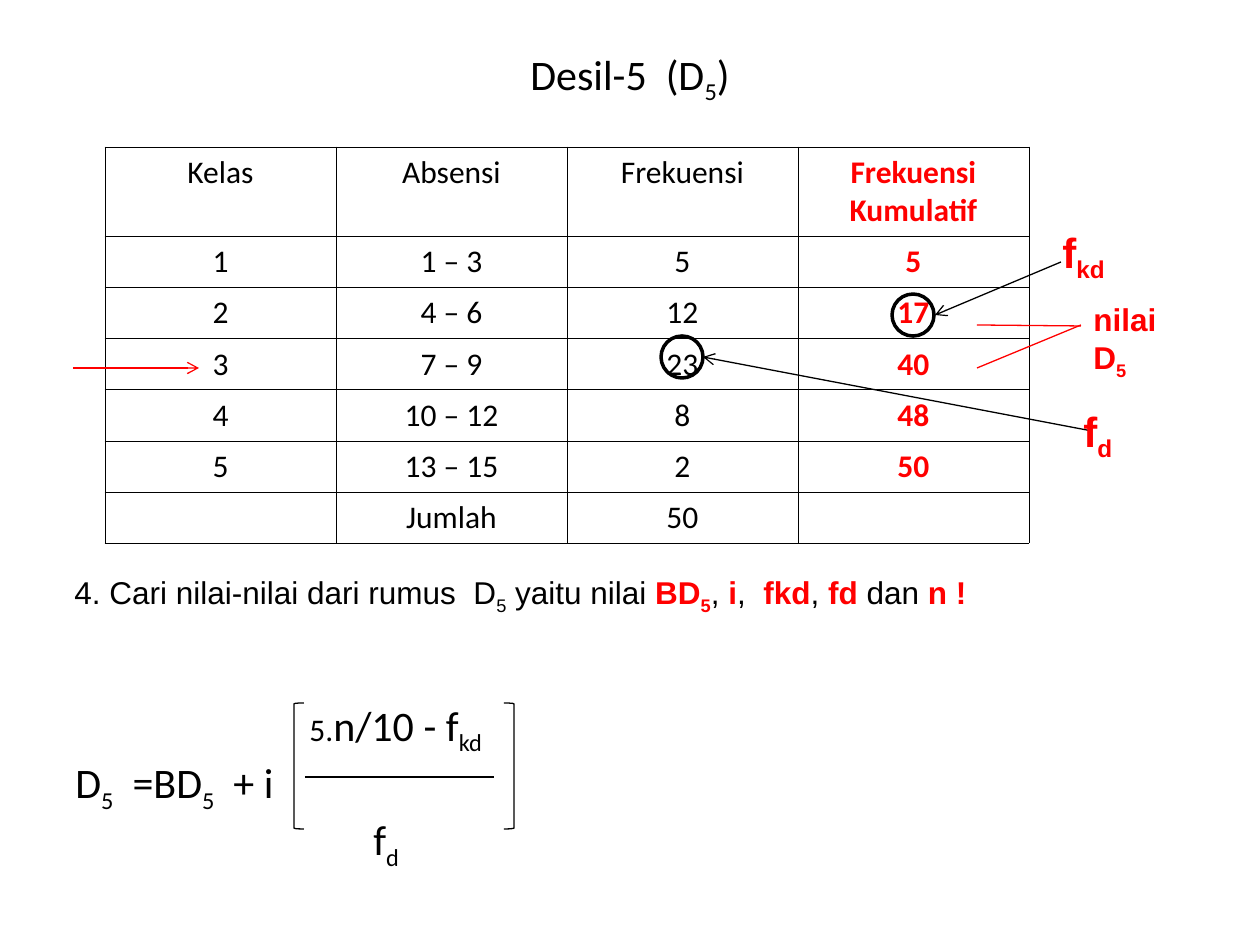
from dataclasses import dataclass

from lxml.etree import SubElement
from pptx import Presentation
from pptx.dml.color import RGBColor
from pptx.enum.shapes import MSO_CONNECTOR as Connector, MSO_SHAPE as Shape
from pptx.enum.text import MSO_ANCHOR as Anchor, MSO_AUTO_SIZE as AutoSize, PP_ALIGN as Align
from pptx.oxml import parse_xml
from pptx.oxml.ns import nsdecls, qn
from pptx.util import Pt

BLACK = RGBColor(0x00, 0x00, 0x00)
RED = RGBColor(0xFF, 0x00, 0x00)
PX = 914400 / 126


def emu(*lengths):
    return [round(length * PX) for length in lengths]


@dataclass
class Run:
    text: str
    sub: bool = False
    hot: bool = False  # bold red
    size: int = 0  # 0 takes the size of the box


@dataclass
class Canvas:
    """Draws on one slide in one style, with lengths in px."""
    slide: object
    thin: float = 0.75
    border: float = 0.45

    def add_runs(self, para, runs, size, font, align=Align.LEFT, indent=0):
        para.alignment = align
        if indent:
            para._p.get_or_add_pPr().set("marL", str(emu(indent)[0]))
        for run in runs:
            span = para.add_run()
            span.text = run.text
            span.font.name = font
            span.font.size = Pt(run.size or size)
            span.font.bold = run.hot
            span.font.color.rgb = RED if run.hot else BLACK
            if run.sub:
                span._r.get_or_add_rPr().set("baseline", "-25000")

    def title(self, left, top, width, height, runs):
        box = self.slide.shapes.title
        box.left, box.top, box.width, box.height = emu(left, top, width, height)
        box.text_frame.vertical_anchor = Anchor.MIDDLE
        self.add_runs(box.text_frame.paragraphs[0], runs, 24, "Calibri", Align.CENTER)

    def text(self, left, top, width, height, lines, size, font="Arial", indents=()):
        frame = self.slide.shapes.add_textbox(*emu(left, top, width, height)).text_frame
        frame.word_wrap = True
        frame.auto_size = AutoSize.SHAPE_TO_FIT_TEXT
        for index, runs in enumerate(lines):
            para = frame.add_paragraph() if index else frame.paragraphs[0]
            indent = indents[index] if indents else 0
            self.add_runs(para, runs, size, font, indent=indent)

    def line(self, x1, y1, x2, y2, color=BLACK, arrow=False):
        line = self.slide.shapes.add_connector(Connector.STRAIGHT, *emu(x1, y1, x2, y2))
        line.line.color.rgb = color
        line.line.width = Pt(self.thin)
        if arrow:
            SubElement(line.line._get_or_add_ln(), qn("a:tailEnd"), type="arrow")
        SubElement(line._element.spPr, qn("a:effectLst"))

    def outline(self, kind, left, top, width, height, weight):
        shape = self.slide.shapes.add_shape(kind, *emu(left, top, width, height))
        shape.shadow.inherit = False
        shape.fill.background()
        shape.line.color.rgb = BLACK
        shape.line.width = Pt(weight)

    def frame_cell(self, cell):
        cell.fill.background()
        for index, side in enumerate(("lnL", "lnR", "lnT", "lnB")):
            edge = parse_xml(
                f'<a:{side} {nsdecls("a")} w="{Pt(self.border)}"><a:solidFill>'
                f'<a:srgbClr val="{BLACK}"/></a:solidFill></a:{side}>')
            cell._tc.get_or_add_tcPr().insert(index, edge)

    def table(self, left, top, column, heights, rows):
        """Draws a grid with equal columns, the last one bold red."""
        count = len(rows[0])
        table = self.slide.shapes.add_table(
            len(rows), count, *emu(left, top, column * count, sum(heights))).table
        table.first_row = table.horz_banding = False
        for grid_column in table.columns:
            grid_column.width = emu(column)[0]
        for y, (height, texts) in enumerate(zip(heights, rows)):
            table.rows[y].height = emu(height)[0]
            for x, text in enumerate(texts):
                cell = table.cell(y, x)
                self.frame_cell(cell)
                if text:
                    self.add_runs(cell.text_frame.paragraphs[0],
                                  [Run(text, hot=x == count - 1)], 18, "Calibri", Align.CENTER)


ROWS = [
    ("Kelas", "Absensi", "Frekuensi", "Frekuensi Kumulatif"),
    ("1", "1 – 3", "5", "5"),
    ("2", "4 – 6", "12", "17"),
    ("3", "7 – 9", "23", "40"),
    ("4", "10 – 12", "8", "48"),
    ("5", "13 – 15", "2", "50"),
    ("", "Jumlah", "50", ""),
]
TASK = [
    Run("4. Cari nilai-nilai dari rumus  D"), Run("5", sub=True), Run(" yaitu nilai "),
    Run("BD", hot=True), Run("5", sub=True, hot=True), Run(", "),
    Run("i", hot=True), Run(",  "), Run("fkd", hot=True), Run(", "),
    Run("fd ", hot=True), Run("dan "), Run("n !", hot=True),
]
FORMULA = [
    [Run("5.", size=18), Run("n/10 - f"), Run("kd", sub=True)],
    [Run("D"), Run("5", sub=True), Run("  =BD"), Run("5", sub=True), Run("  + i")],
    [Run("f"), Run("d", sub=True)],
]


def main():
    deck = Presentation()
    deck.slide_width, deck.slide_height = emu(1260, 945)
    canvas = Canvas(deck.slides.add_slide(deck.slide_layouts[5]))

    canvas.title(63, 38, 1134, 78, [Run("Desil-5  (D"), Run("5", sub=True), Run(")")])
    canvas.table(105, 147, 231, [89] + [51] * 6, ROWS)

    for x, y, end in ((977, 325, 326), (977, 368, 325)):
        canvas.line(x, y, 1081, end, RED)
    canvas.text(1081, 294, 105, 93,
                [[Run("nilai", hot=True)],
                 [Run("D", hot=True), Run("5", sub=True, hot=True)]], 18)

    canvas.line(305, 777, 494, 777)
    for kind, left in ((Shape.LEFT_BRACKET, 294), (Shape.RIGHT_BRACKET, 504)):
        canvas.outline(kind, left, 703, 10, 126, canvas.thin)
    canvas.line(73, 368, 199, 368, RED, arrow=True)
    canvas.text(63, 693, 683, 185, FORMULA, 24, "Calibri", indents=(234, 0, 298))

    for left, top in ((892, 294), (661, 336)):
        canvas.outline(Shape.OVAL, left, top, 42, 42, 2)
    canvas.line(1061, 262, 935, 315, arrow=True)
    canvas.line(1092, 431, 703, 357, arrow=True)
    for left, top, index in ((1050, 220, "kd"), (1071, 399, "d")):
        canvas.text(left, top, 105, 71,
                    [[Run("f", hot=True), Run(index, sub=True, hot=True)]], 24)
    canvas.text(62, 567, 1094, 55, [TASK], 18)

    deck.save("out.pptx")


if __name__ == "__main__":
    main()
